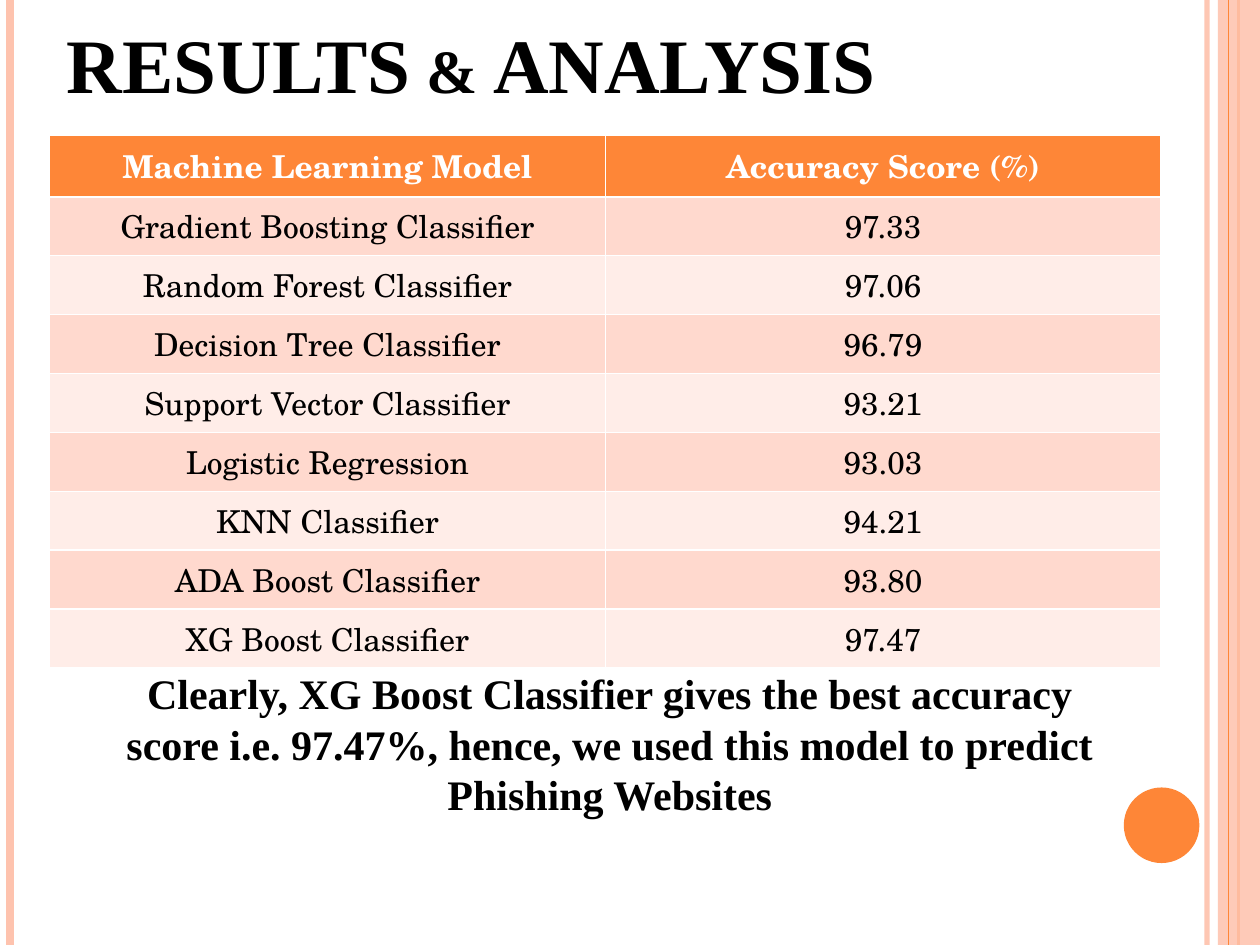
from lxml import etree
from pptx import Presentation
from pptx.dml.color import RGBColor
from pptx.enum.shapes import MSO_CONNECTOR, MSO_SHAPE
from pptx.enum.text import MSO_ANCHOR, MSO_AUTO_SIZE, PP_ALIGN
from pptx.oxml.ns import qn
from pptx.util import Pt

LINE = MSO_CONNECTOR.STRAIGHT
RECT, OVAL = MSO_SHAPE.RECTANGLE, MSO_SHAPE.OVAL
LEFT, MID = PP_ALIGN.LEFT, PP_ALIGN.CENTER
BASE = MSO_ANCHOR.BOTTOM
FIXED = MSO_AUTO_SIZE.NONE

BLACK = RGBColor(0x00, 0x00, 0x00)
WHITE = RGBColor(0xFF, 0xFF, 0xFF)
ORANGE = RGBColor(0xFE, 0x86, 0x37)
PEACH = RGBColor(0xFE, 0xC3, 0xAE)
BANDS = (RGBColor(0xFF, 0xED, 0xE8), RGBColor(0xFF, 0xD9, 0xCE))

WIDE, HIGH = 720, 540
SERIF = "Times New Roman"
BOOK = "TeX Gyre Schola"
HEAD = {"name": SERIF, "size": Pt(44), "bold": True}
NOTE = {"name": SERIF, "size": Pt(24), "bold": True}
TOP = {"name": BOOK, "size": Pt(18), "bold": True}
BODY = {"name": BOOK, "size": Pt(18), "bold": False}

RULES = (
    (689.8, 3, PEACH, 93),
    (5.8, 4.5, PEACH, 100),
    (707.8, 1.5, ORANGE, 100),
    (702, 0.75, ORANGE, 100),
)
SCORES = (
    ("Machine Learning Model", "Accuracy Score (%)"),
    ("Gradient Boosting Classifier", "97.33"),
    ("Random Forest Classifier", "97.06"),
    ("Decision Tree Classifier", "96.79"),
    ("Support Vector Classifier", "93.21"),
    ("Logistic Regression", "93.03"),
    ("KNN Classifier", "94.21"),
    ("ADA Boost Classifier", "93.80"),
    ("XG Boost Classifier", "97.47"),
)
CLAIM = (
    "Clearly, XG Boost Classifier gives the best accuracy score i.e. 97.47%, "
    "hence, we used this model to predict Phishing Websites"
)


def points(box):
    return [Pt(n) for n in box]


def write(frame, text, form, color, align):
    para = frame.paragraphs[0]
    para.alignment = align
    run = para.add_run()
    run.text = text
    for key, value in form.items():
        setattr(run.font, key, value)
    run.font.color.rgb = color
    return run


def fade(shape, share):
    for tint in shape._element.spPr.iter(qn("a:srgbClr")):
        etree.SubElement(tint, qn("a:alpha")).set("val", str(share * 1000))


def add_rule(slide, x, width, color, share):
    rule = slide.shapes.add_connector(LINE, *points((x, 0, x, HIGH)))
    rule.line.width = Pt(width)
    rule.line.color.rgb = color
    if share < 100:
        fade(rule, share)
    etree.SubElement(rule._element.spPr, qn("a:effectLst"))


def add_block(slide, kind, box, color):
    block = slide.shapes.add_shape(kind, *points(box))
    block.shadow.inherit = False
    block.fill.solid()
    block.fill.fore_color.rgb = color
    block.line.fill.background()
    return block


def add_frame(slide, band, dot):
    for rule in RULES[:3]:
        add_rule(slide, *rule)
    fade(add_block(slide, RECT, band, PEACH), 87)
    add_rule(slide, *RULES[3])
    add_block(slide, OVAL, dot, ORANGE)


def add_title(slide, box):
    title = slide.shapes.title
    title.left, title.top, title.width, title.height = points(box)
    frame = title.text_frame
    frame.auto_size = FIXED
    frame.vertical_anchor = BASE
    run = write(frame, "RESULTS & ANALYSIS", HEAD, BLACK, LEFT)
    run.font._element.set("cap", "small")


def add_scores(slide, box):
    size = len(SCORES), len(SCORES[0])
    table = slide.shapes.add_table(*size, *points(box)).table
    for r, row in enumerate(SCORES):
        for c, text in enumerate(row):
            cell = table.cell(r, c)
            cell.fill.solid()
            cell.fill.fore_color.rgb = BANDS[r % 2] if r else ORANGE
            form, color = (BODY, BLACK) if r else (TOP, WHITE)
            write(cell.text_frame, text, form, color, MID)


def add_claim(slide, box):
    frame = slide.shapes.add_textbox(*points(box)).text_frame
    frame.word_wrap = True
    write(frame, CLAIM, NOTE, BLACK, MID)


def main():
    deck = Presentation()
    deck.slide_width, deck.slide_height = Pt(WIDE), Pt(HIGH)
    slide = deck.slides.add_slide(deck.slide_layouts[5])
    add_frame(slide, (696, 0, 24, HIGH), (642.2, 450, 43.2, 43.2))
    add_title(slide, (31, 15, 588, 51))
    add_scores(slide, (28.4, 77.4, 635, 262.8))
    add_claim(slide, (48, 378, 601, 94.5))
    deck.save("out.pptx")


if __name__ == "__main__":
    main()
